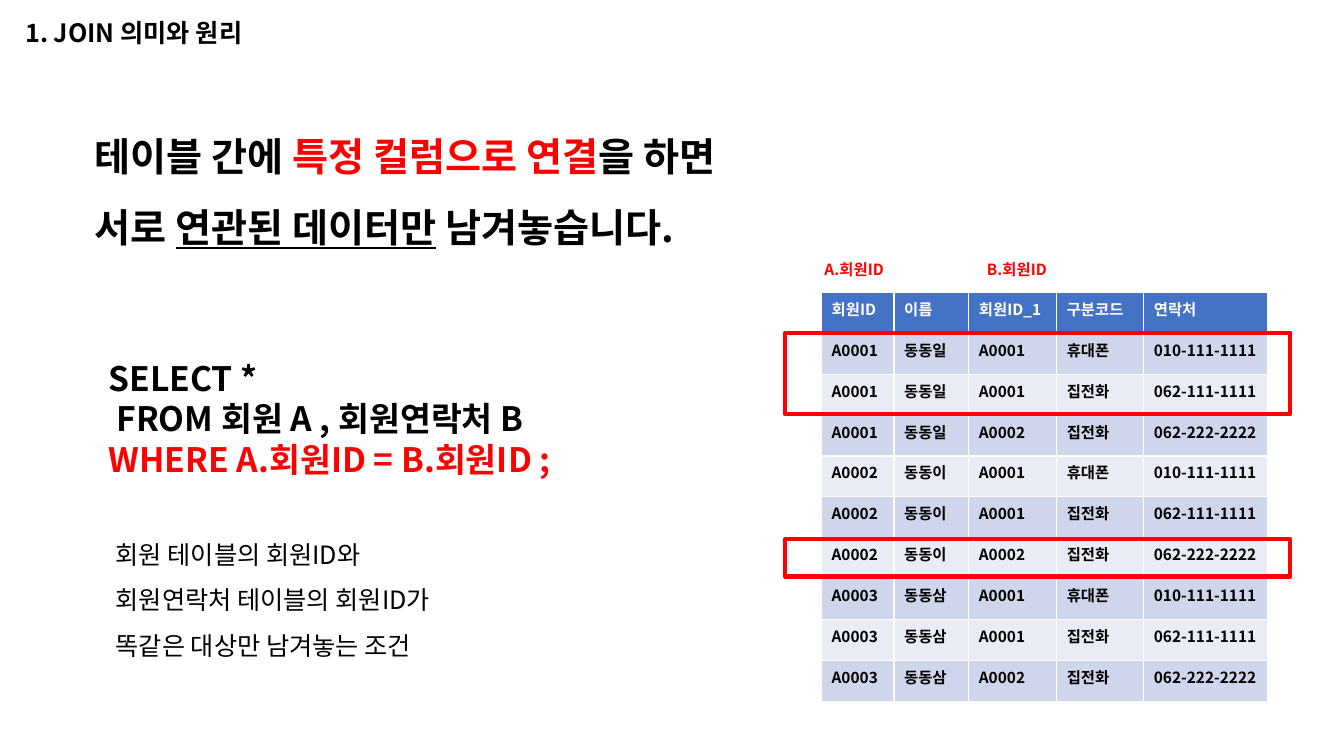
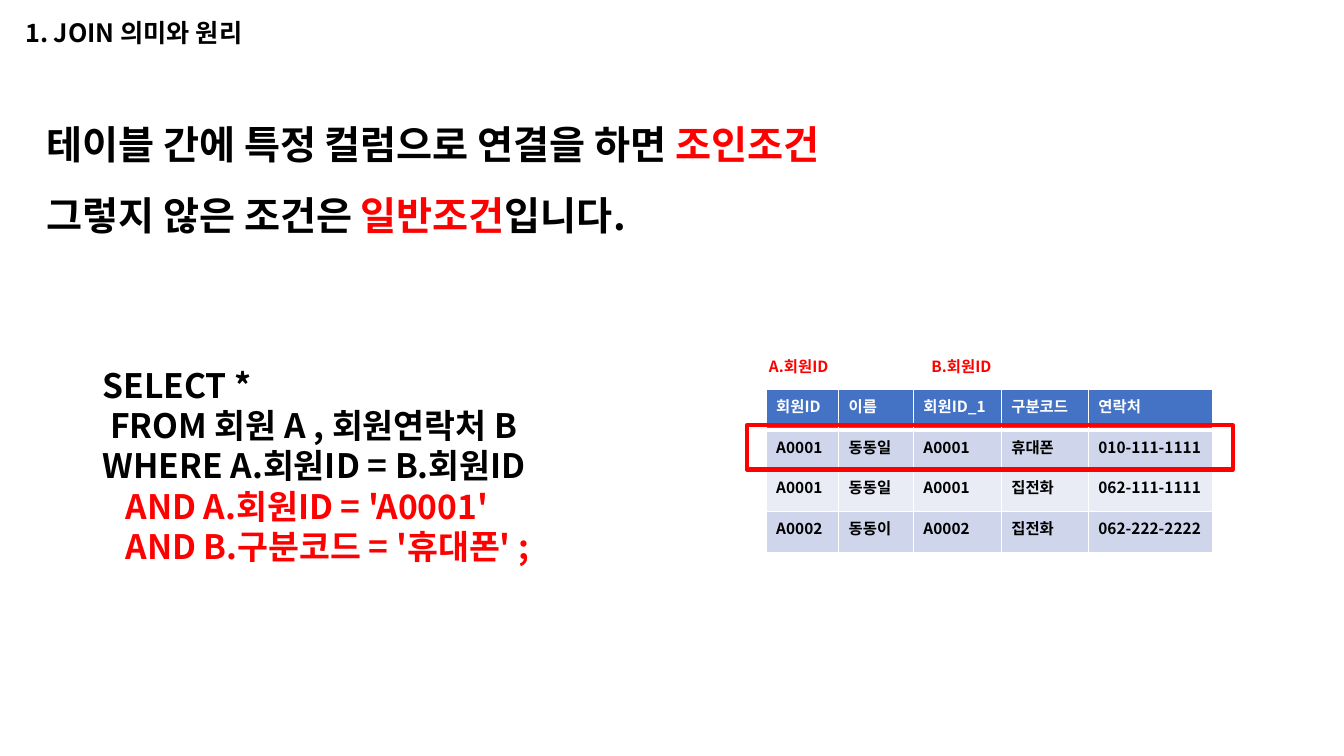
from dataclasses import dataclass
from itertools import product
from typing import NamedTuple

from lxml import etree
from pptx import Presentation
from pptx.dml.color import RGBColor
from pptx.enum import shapes, text
from pptx.oxml import ns
from pptx.util import Pt


@dataclass(frozen=True)
class Theme:
    font: str = "Noto Sans CJK KR"
    black: str = "000000"
    white: str = "FFFFFF"
    red: str = "FF0000"
    header: str = "4472C4"
    bands: tuple[str, str] = ("CFD5EA", "E9EBF5")
    small: float = 11
    body: float = 18
    code: float = 24
    message: float = 28


THEME = Theme()


class Box(NamedTuple):
    left: float
    top: float
    width: float
    height: float

    def points(self) -> list[Pt]:
        return [Pt(value) for value in self]


class Segment(NamedTuple):
    text: str
    color: str = THEME.black
    underline: bool = False


@dataclass(frozen=True)
class TextBlock:
    box: Box
    lines: list[list[Segment]]
    size: float
    bold: bool = True
    line_spacing: float | None = None


class Record(NamedTuple):
    """A member row and a contact row, side by side."""
    member: tuple[str, ...]
    contact: tuple[str, ...]


@dataclass(frozen=True)
class JoinSlide:
    blocks: list[TextBlock]
    table_left: float
    table_top: float
    records: list[Record]
    highlights: list[Box]


TITLE = "1. JOIN 의미와 원리"
TITLE_BOX = Box(10.8, 8.64, 480, 28.8)
ROW_HEIGHT = 29.25
MEMBER_WIDTHS = (51.8, 53.4)
CONTACT_WIDTHS = (62.8, 62.2, 88.7)
HEADINGS = Record(("회원ID", "이름"), ("회원ID_1", "구분코드", "연락처"))
MEMBERS = [("A0001", "동동일"), ("A0002", "동동이"), ("A0003", "동동삼")]
CONTACTS = [
    ("A0001", "휴대폰", "010-111-1111"),
    ("A0001", "집전화", "062-111-1111"),
    ("A0002", "집전화", "062-222-2222"),
]
CROSS_JOIN = [Record(*pair) for pair in product(MEMBERS, CONTACTS)]
INNER_JOIN = [record for record in CROSS_JOIN if record.member[0] == record.contact[0]]
CODE_START = [[Segment("SELECT *")], [Segment(" FROM 회원 A , 회원연락처 B")]]

SLIDES = [
    JoinSlide(
        blocks=[
            TextBlock(Box(60.5, 74.2, 545.8, 102.2), [
                [Segment("테이블 간에 "), Segment("특정 컬럼으로 연결", THEME.red), Segment("을 하면")],
                [Segment("서로 "), Segment("연관된 데이터만", underline=True), Segment(" 남겨놓습니다.")],
            ], THEME.message, line_spacing=1.5),
            TextBlock(Box(70.6, 252, 360.7, 94.3), [
                *CODE_START,
                [Segment("WHERE A.회원ID = B.회원ID ;", THEME.red)],
            ], THEME.code),
            TextBlock(Box(75.6, 370.8, 271.4, 101.5), [
                [Segment("회원 테이블의 회원ID와")],
                [Segment("회원연락처 테이블의 회원ID가")],
                [Segment("똑같은 대상만 남겨놓는 조건")],
            ], THEME.body, bold=False, line_spacing=1.5),
        ],
        table_left=586.8,
        table_top=208.8,
        records=CROSS_JOIN,
        highlights=[Box(560.9, 237.6, 360.7, 58.3), Box(560.9, 385.2, 360.7, 26.6)],
    ),
    JoinSlide(
        blocks=[
            TextBlock(Box(25.9, 65.5, 675.4, 102.2), [
                [Segment("테이블 간에 특정 컬럼으로 연결을 하면 "), Segment("조인조건", THEME.red)],
                [Segment("그렇지 않은 조건은 "), Segment("일반조건", THEME.red), Segment("입니다.")],
            ], THEME.message, line_spacing=1.5),
            TextBlock(Box(66.2, 257, 360.7, 152.6), [
                *CODE_START,
                [Segment("WHERE A.회원ID = B.회원ID")],
                [Segment("   AND A.회원ID = 'A0001'", THEME.red)],
                [Segment("   AND B.구분코드 = '휴대폰' ;", THEME.red)],
            ], THEME.code),
        ],
        table_left=547.2,
        table_top=277.9,
        records=INNER_JOIN,
        highlights=[Box(533.5, 303.8, 347, 31.7)],
    ),
]


def format_run(run, size: float, color: str, bold: bool = True) -> None:
    run.font.size = Pt(size)
    run.font.bold = bold
    run.font.color.rgb = RGBColor.from_string(color)
    run.font.name = THEME.font
    east_asian = etree.SubElement(run.font._element, ns.qn("a:ea"))
    east_asian.set("typeface", THEME.font)


def add_title(slide) -> None:
    title = slide.shapes.title
    title.left, title.top, title.width, title.height = TITLE_BOX.points()
    frame = title.text_frame
    frame.text = TITLE
    frame.auto_size = text.MSO_AUTO_SIZE.NONE
    frame.vertical_anchor = text.MSO_ANCHOR.TOP
    paragraph = frame.paragraphs[0]
    paragraph.alignment = text.PP_ALIGN.LEFT
    paragraph.space_after = Pt(6)
    format_run(paragraph.runs[0], THEME.body, THEME.black)


def add_text_block(slide, block: TextBlock) -> None:
    frame = slide.shapes.add_textbox(*block.box.points()).text_frame
    frame.word_wrap = True
    frame.auto_size = text.MSO_AUTO_SIZE.SHAPE_TO_FIT_TEXT
    for index, line in enumerate(block.lines):
        paragraph = frame.add_paragraph() if index else frame.paragraphs[0]
        paragraph.line_spacing = block.line_spacing
        for segment in line:
            run = paragraph.add_run()
            run.text = segment.text
            format_run(run, block.size, segment.color, block.bold)
            if segment.underline:
                run.font.underline = True


def add_cell_borders(cell, bottom_width: float) -> None:
    """Draw white borders; call before filling, as the schema wants lines first."""
    properties = cell._tc.get_or_add_tcPr()
    for side, width in (("L", 1), ("R", 1), ("T", 1), ("B", bottom_width)):
        line = etree.SubElement(properties, ns.qn(f"a:ln{side}"), w=str(Pt(width)))
        fill = etree.SubElement(line, ns.qn("a:solidFill"))
        etree.SubElement(fill, ns.qn("a:srgbClr"), val=THEME.white)


def add_data_table(slide, left: float, top: float, widths: tuple[float, ...],
                   rows: list[tuple[str, ...]]) -> None:
    box = Box(left, top, sum(widths), ROW_HEIGHT * len(rows))
    table = slide.shapes.add_table(len(rows), len(widths), *box.points()).table
    for column, width in zip(table.columns, widths):
        column.width = Pt(width)
    for row_index, values in enumerate(rows):
        is_header = row_index == 0
        background = THEME.header if is_header else THEME.bands[(row_index - 1) % 2]
        table.rows[row_index].height = Pt(ROW_HEIGHT)
        for column_index, value in enumerate(values):
            cell = table.cell(row_index, column_index)
            add_cell_borders(cell, 3 if is_header else 1)
            cell.fill.solid()
            cell.fill.fore_color.rgb = RGBColor.from_string(background)
            cell.text_frame.text = value
            format_run(cell.text_frame.paragraphs[0].runs[0], THEME.small,
                       THEME.white if is_header else THEME.black)


def add_joined_tables(slide, left: float, top: float, records: list[Record]) -> None:
    """Set the member and contact tables edge to edge, each under its key label."""
    rows = [HEADINGS, *records]
    contact_left = left + sum(MEMBER_WIDTHS)
    add_data_table(slide, left, top, MEMBER_WIDTHS, [row.member for row in rows])
    add_data_table(slide, contact_left, top, CONTACT_WIDTHS, [row.contact for row in rows])
    for label, label_left in (("A.회원ID", left - 5), ("B.회원ID", contact_left + 5.8)):
        add_text_block(slide, TextBlock(Box(label_left, top - 26.6, 66, 20.9),
                                        [[Segment(label, THEME.red)]], THEME.small))


def add_highlight(slide, box: Box) -> None:
    frame = slide.shapes.add_shape(shapes.MSO_SHAPE.RECTANGLE, *box.points())
    frame.shadow.inherit = False
    frame.fill.background()
    frame.line.color.rgb = RGBColor.from_string(THEME.red)
    frame.line.width = Pt(3)


def main() -> None:
    presentation = Presentation()
    presentation.slide_width, presentation.slide_height = Pt(960), Pt(540)
    for content in SLIDES:
        slide = presentation.slides.add_slide(presentation.slide_layouts[5])
        add_title(slide)
        for block in content.blocks:
            add_text_block(slide, block)
        add_joined_tables(slide, content.table_left, content.table_top, content.records)
        for box in content.highlights:
            add_highlight(slide, box)
    presentation.save("out.pptx")


if __name__ == "__main__":
    main()
